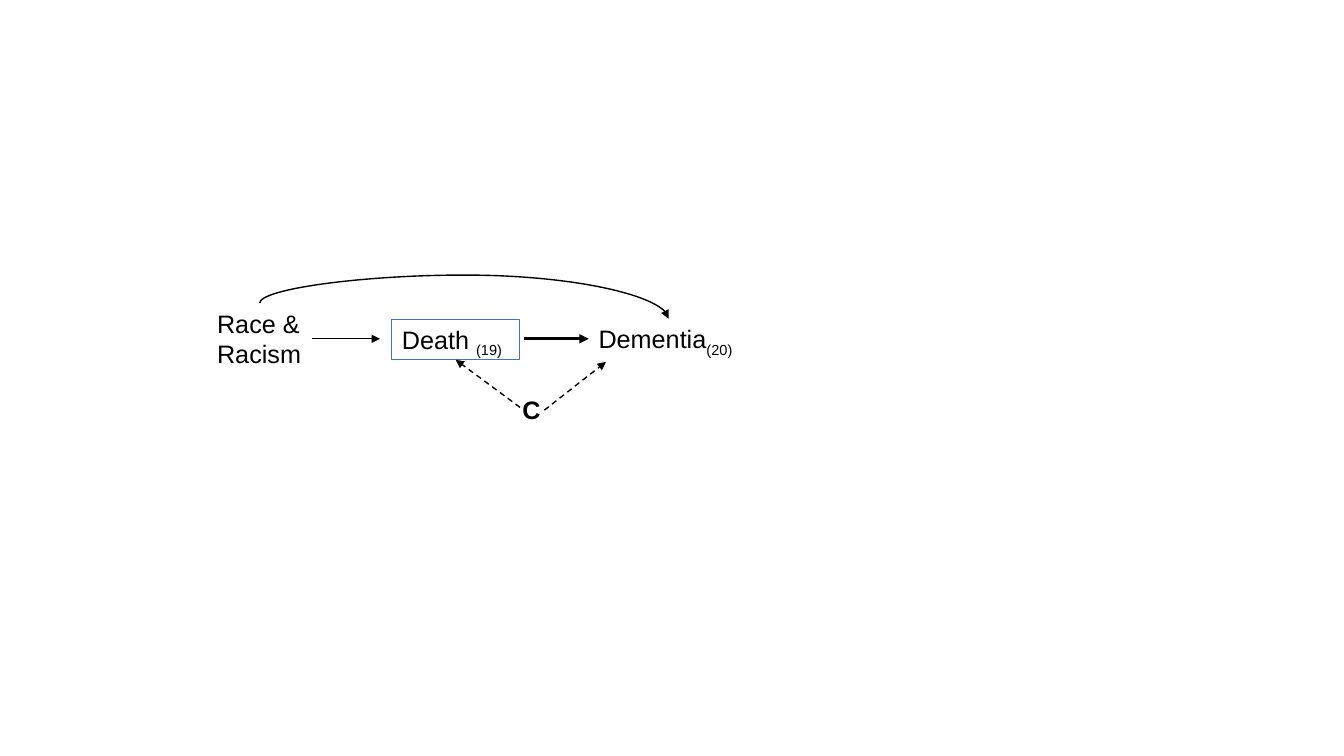
from lxml import etree
from pptx import Presentation
from pptx.dml.color import RGBColor
from pptx.enum import dml, shapes, text
from pptx.oxml import ns
from pptx.util import Pt

TOP, LEFT, BOTTOM, RIGHT = range(4)


def color(hex_code):
    return RGBColor.from_string(hex_code)


def add_label(slide, box, lines, subscript="", bold=False, wrap=False, outline=None):
    """Place black text in box, with an optional subscript and outline."""
    lengths = [Pt(value) for value in box]
    if outline:
        shape = slide.shapes.add_shape(shapes.MSO_SHAPE.RECTANGLE, *lengths)
        shape.shadow.inherit = False
        shape.fill.background()
        shape.line.color.rgb = color(outline)
        shape.line.width = Pt(0.75)
    else:
        shape = slide.shapes.add_textbox(*lengths)
    frame_format = {
        "word_wrap": wrap,
        "auto_size": text.MSO_AUTO_SIZE.SHAPE_TO_FIT_TEXT,
        "vertical_anchor": text.MSO_ANCHOR.TOP,
    }
    for name, value in frame_format.items():
        setattr(shape.text_frame, name, value)
    shape.text_frame.text = "\n".join(lines)
    if subscript:
        run = shape.text_frame.paragraphs[-1].add_run()
        run.text = subscript
        run.font._element.set("baseline", "-25000")
    for paragraph in shape.text_frame.paragraphs:
        paragraph.alignment = text.PP_ALIGN.LEFT
        for run in paragraph.runs:
            font_format = {"name": "Arial", "size": Pt(18), "bold": bold}
            for name, value in font_format.items():
                setattr(run.font, name, value)
            run.font.color.rgb = color("000000")
    return shape


def add_arrow(slide, start, end, width=1, dashed=False, kind=shapes.MSO_CONNECTOR.STRAIGHT):
    points = [Pt(value) for value in (*start, *end)]
    arrow = slide.shapes.add_connector(kind, *points)
    arrow.line.color.rgb = color("000000")
    arrow.line.width = Pt(width)
    if dashed:
        arrow.line.dash_style = dml.MSO_LINE.DASH
    line = arrow.line._get_or_add_ln()
    etree.SubElement(line, ns.qn("a:tailEnd"), type="triangle")
    etree.SubElement(arrow._element.spPr, ns.qn("a:effectLst"))
    return arrow


def add_arc(slide, start, end, rise):
    """Curve from start up by rise and over to end, as a connector turned by 270 degrees."""
    (x1, y1), (x2, y2) = start, end
    center_x, center_y = (x1 + x2) / 2, (y1 + y2) / 2
    half_width, half_height = (y2 - y1) / 2, (x2 - x1) / 2
    arc = add_arrow(
        slide,
        (center_x + half_width, center_y - half_height),
        (center_x - half_width, center_y + half_height),
        kind=shapes.MSO_CONNECTOR.CURVE,
    )
    properties = arc._element.spPr
    properties.find(ns.qn("a:xfrm")).set("rot", str(270 * 60000))
    guides = properties.find(ns.qn("a:prstGeom")).get_or_add_avLst()
    bend = round(-rise / (y2 - y1) * 100000)
    etree.SubElement(guides, ns.qn("a:gd"), name="adj1", fmla=f"val {bend}")


def add_causal_diagram(slide, left, top):
    def at(x, y):
        return left + x, top + y

    middle = 46
    row_height = 28.8
    row_top = middle - row_height / 2
    race = add_label(slide, (*at(0, 20.5), 75, 51), ["Race &", "Racism"])
    death = add_label(slide, (*at(132, row_top + 0.6), 91, row_height), ["Death "], "(19)",
                      wrap=True, outline="4472C4")
    dementia = add_label(slide, (*at(272.5, row_top), 114, row_height), ["Dementia"], "(20)")
    add_label(slide, (*at(218, 82), 26.6, row_height), ["C"], bold=True, wrap=True)

    add_arrow(slide, at(75, middle), at(123.5, middle)).begin_connect(race, RIGHT)
    add_arrow(slide, at(226, middle), at(272.5, middle), 2.25).end_connect(dementia, LEFT)
    add_arrow(slide, at(223.5, 95), at(177.5, 61), dashed=True).end_connect(death, BOTTOM)
    add_arc(slide, at(37.5, 20.5), at(329.5, row_top), 20)
    add_arrow(slide, at(240.8, 97), at(284.8, 62.5), dashed=True)


def main():
    presentation = Presentation()
    presentation.slide_width, presentation.slide_height = Pt(960), Pt(540)
    slide = presentation.slides.add_slide(presentation.slide_layouts[6])
    add_causal_diagram(slide, 148, 196)
    presentation.save("out.pptx")


if __name__ == "__main__":
    main()
